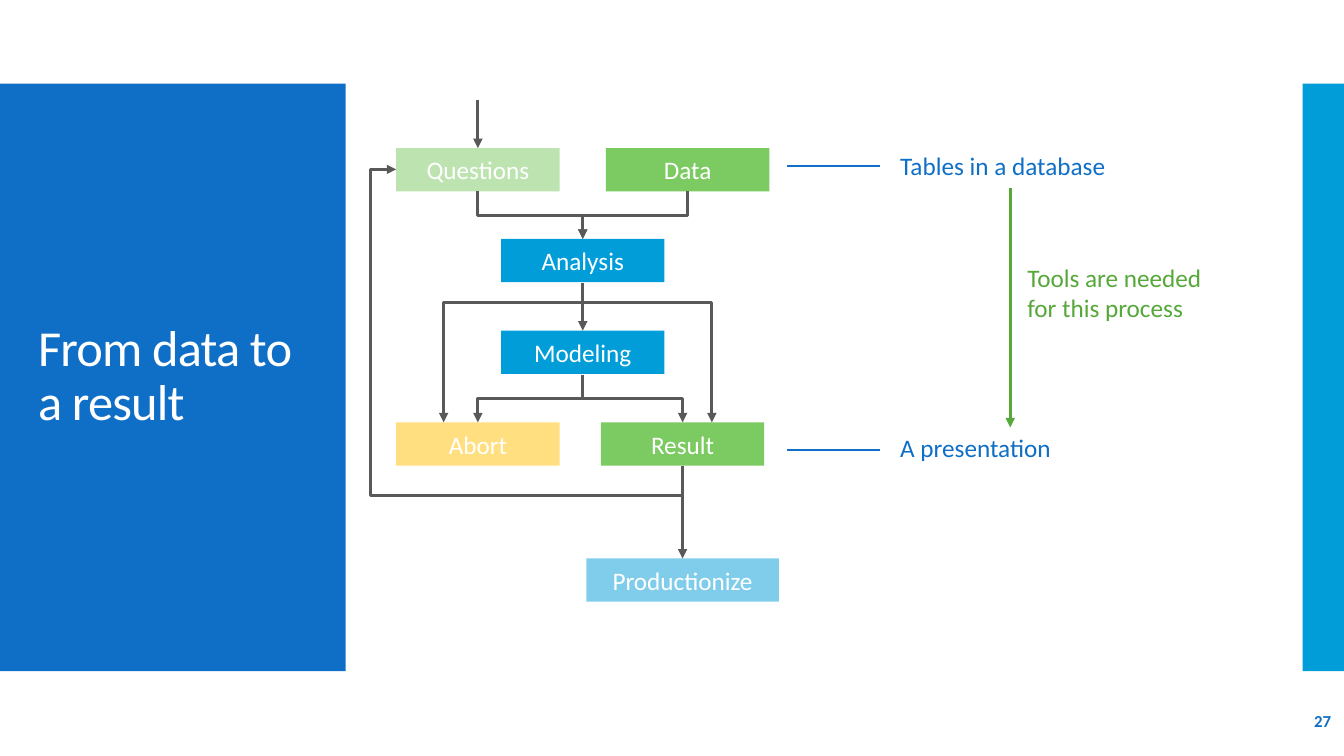
from pptx import Presentation
from pptx.dml.color import RGBColor
from pptx.enum.shapes import MSO_CONNECTOR, MSO_SHAPE
from pptx.enum.text import MSO_ANCHOR, PP_ALIGN
from pptx.oxml.ns import qn
from pptx.util import Inches, Pt
from lxml.etree import SubElement

BLUE, CYAN, GREEN, GOLD = "0F6FC6", "009DD9", "7CCA62", "FFC000"
GRAY, LEAF, WHITE = "595959", "55A839", "FFFFFF"
WIDE, HIGH = 1.62, 0.43

panels = [(0, 0.83, 3.43, 5.83, BLUE), (12.92, 0.83, 0.42, 5.83, CYAN)]
steps = [
    ("Questions", 4.74, 1.47, WIDE, GREEN, 50),
    ("Data", 6.82, 1.47, WIDE, GREEN, 100),
    ("Analysis", 5.78, 2.37, WIDE, CYAN, 100),
    ("Modeling", 5.78, 3.28, WIDE, CYAN, 100),
    ("Result", 6.77, 4.19, WIDE, GREEN, 100),
    ("Abort", 4.74, 4.19, WIDE, GOLD, 50),
    ("Productionize", 6.77, 5.54, 1.91, CYAN, 50),
]
bends = [
    (4.74, 1.9, 5.78, 2.37, [0.5]),
    (6.82, 1.9, 5.78, 2.37, [0.5]),
    (5.78, 3.72, 4.74, 4.19, [0.5]),
    (5.78, 2.81, 4.4, 4.19, [0.14]),
    (5.78, 2.81, 7.06, 4.19, [0.14]),
    (5.78, 3.72, 6.77, 4.19, [0.5]),
    (6.77, 4.62, 3.93, 1.68, [-0.1, 1.09]),
]
lines = [
    (5.78, 2.81, 5.78, 3.28, GRAY, 2.25, True),
    (4.74, 0.99, 4.74, 1.47, GRAY, 2.25, True),
    (6.77, 4.62, 6.77, 5.54, GRAY, 2.25, True),
    (8.73, 1.65, 7.81, 1.65, BLUE, 1.5, False),
    (8.73, 4.46, 7.81, 4.46, BLUE, 1.5, False),
    (10.02, 1.87, 10.02, 4.24, LEAF, 2.25, True),
]
MIDDLE = {"vertical_anchor": MSO_ANCHOR.MIDDLE, "word_wrap": True}
LOOSE = {"vertical_anchor": MSO_ANCHOR.TOP, "word_wrap": False}
LEFT = {"alignment": PP_ALIGN.LEFT}
CENTER = {"alignment": PP_ALIGN.CENTER}
RIGHT = {"alignment": PP_ALIGN.RIGHT}
notes = [
    (["From data to a result"], (0.28, 1.23, 2.9, 5.03), MIDDLE,
     LEFT | {"line_spacing": 0.9}, {"size": Pt(36)}, WHITE),
    (["27"], (11.63, 6.95, 1.67, 0.4), MIDDLE, RIGHT,
     {"size": Pt(12), "bold": True}, BLUE),
    (["Tables in a database"], (8.83, 1.44, 2.38, 0.42), LOOSE, LEFT, {}, BLUE),
    (["A presentation"], (8.83, 4.24, 2.38, 0.42), LOOSE, LEFT, {}, BLUE),
    (["Tools are needed", "for this process"], (10.09, 2.55, 2.38, 0.95),
     LOOSE, LEFT, {}, LEAF),
]


def paint(color, tone):
    color.rgb = RGBColor.from_string(tone)


def apply(thing, looks):
    for name, value in looks.items():
        setattr(thing, name, value)


def write(shape, texts, frame, para, font, tone):
    body = shape.text_frame
    body.text = "\n".join(texts)
    apply(body, frame)
    for row in body.paragraphs:
        apply(row, para)
        run = row.runs[0]
        apply(run.font, {"name": "Calibri", "size": Pt(18)} | font)
        paint(run.font.color, tone)


def block(left, top, wide, high, tone, alpha=100):
    shape = slide.shapes.add_shape(
        MSO_SHAPE.RECTANGLE, *map(Inches, (left, top, wide, high)))
    shape.shadow.inherit = False
    shape.fill.solid()
    paint(shape.fill.fore_color, tone)
    shape.line.fill.background()
    if alpha < 100:
        color = shape.fill._xPr.find(".//" + qn("a:srgbClr"))
        SubElement(color, qn("a:alpha"), val=str(alpha * 1000))
    return shape


def link(kind, ends, tone, thick, arrow):
    wire = slide.shapes.add_connector(kind, *map(Inches, ends))
    paint(wire.line.color, tone)
    wire.line.width = Pt(thick)
    if arrow:
        SubElement(wire.line._get_or_add_ln(), qn("a:tailEnd"), type="triangle")
    SubElement(wire._element.spPr, qn("a:effectLst"))
    return wire


def bend(x1, y1, x2, y2, turns):
    wide, high = abs(y2 - y1), abs(x2 - x1)
    left, top = (x1 + x2 - wide) / 2, (y1 + y2 - high) / 2
    wire = link(MSO_CONNECTOR.ELBOW, (left, top, left + wide, top + high),
                GRAY, 2.25, True)
    props = wire._element.spPr
    frame = props.find(qn("a:xfrm"))
    frame.set("rot", str((90 if x2 < x1 else 270) * 60000))
    if (x2 > x1) == (y2 > y1):
        frame.set("flipH", "1")
    shape = props.find(qn("a:prstGeom"))
    shape.set("prst", f"bentConnector{len(turns) + 2}")
    guides = shape.find(qn("a:avLst"))
    for spot, turn in enumerate(turns, 1):
        SubElement(guides, qn("a:gd"), name=f"adj{spot}",
                   fmla=f"val {round(turn * 100000)}")


deck = Presentation()
deck.slide_width, deck.slide_height = Inches(13.33), Inches(7.5)
slide = deck.slides.add_slide(deck.slide_layouts[6])

for panel in panels:
    block(*panel)
for label, mid, top, wide, tone, alpha in steps:
    box = block(mid - wide / 2, top, wide, HIGH, tone, alpha)
    write(box, [label], MIDDLE, CENTER, {}, WHITE)
for route in bends:
    bend(*route)
for *ends, tone, thick, arrow in lines:
    link(MSO_CONNECTOR.STRAIGHT, ends, tone, thick, arrow)
for texts, place, frame, para, font, tone in notes:
    box = slide.shapes.add_textbox(*map(Inches, place))
    write(box, texts, frame, para, font, tone)
    if font.get("size") == Pt(36):
        box.text_frame.paragraphs[0].runs[0].font._element.set("spc", "-60")

deck.save("out.pptx")
